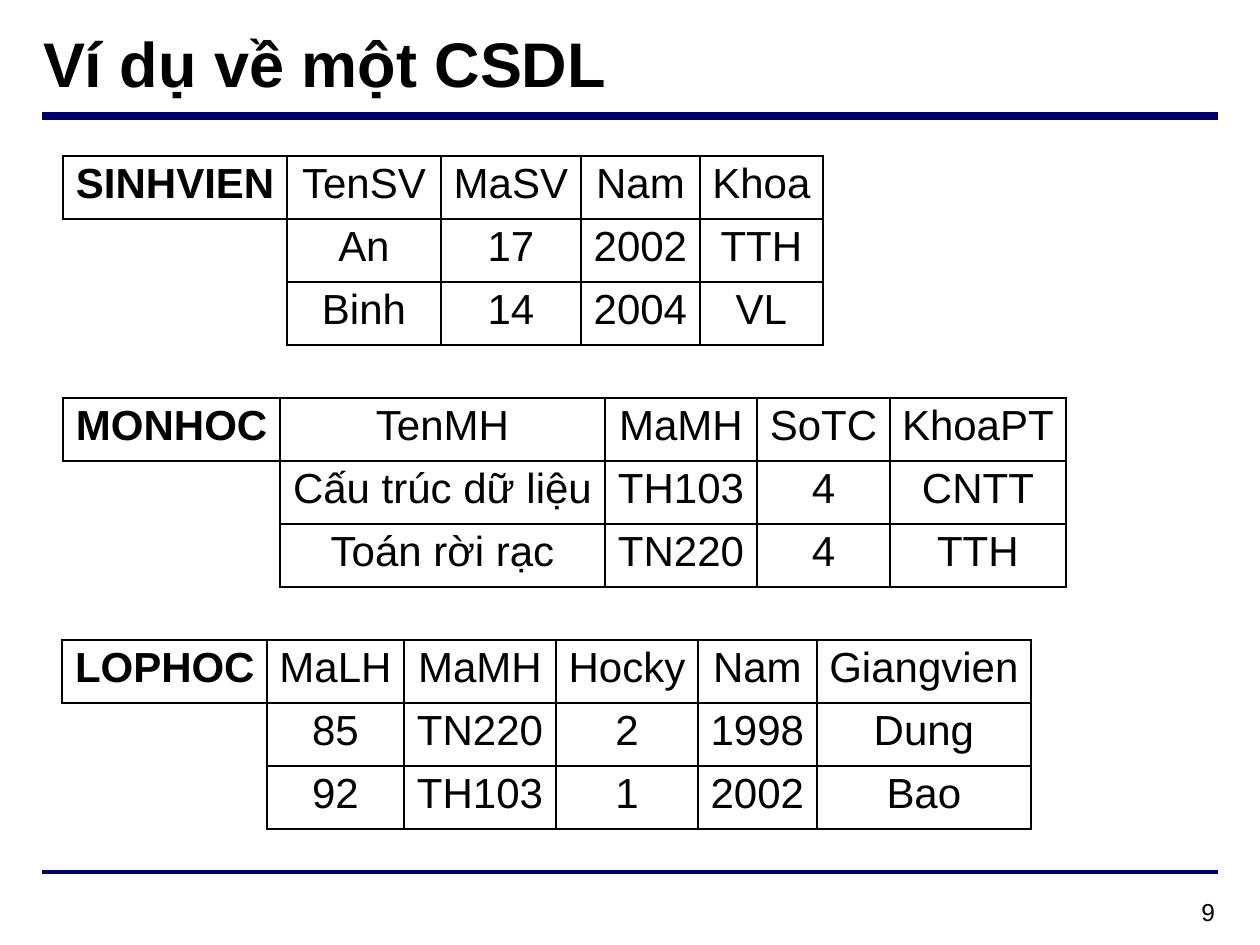
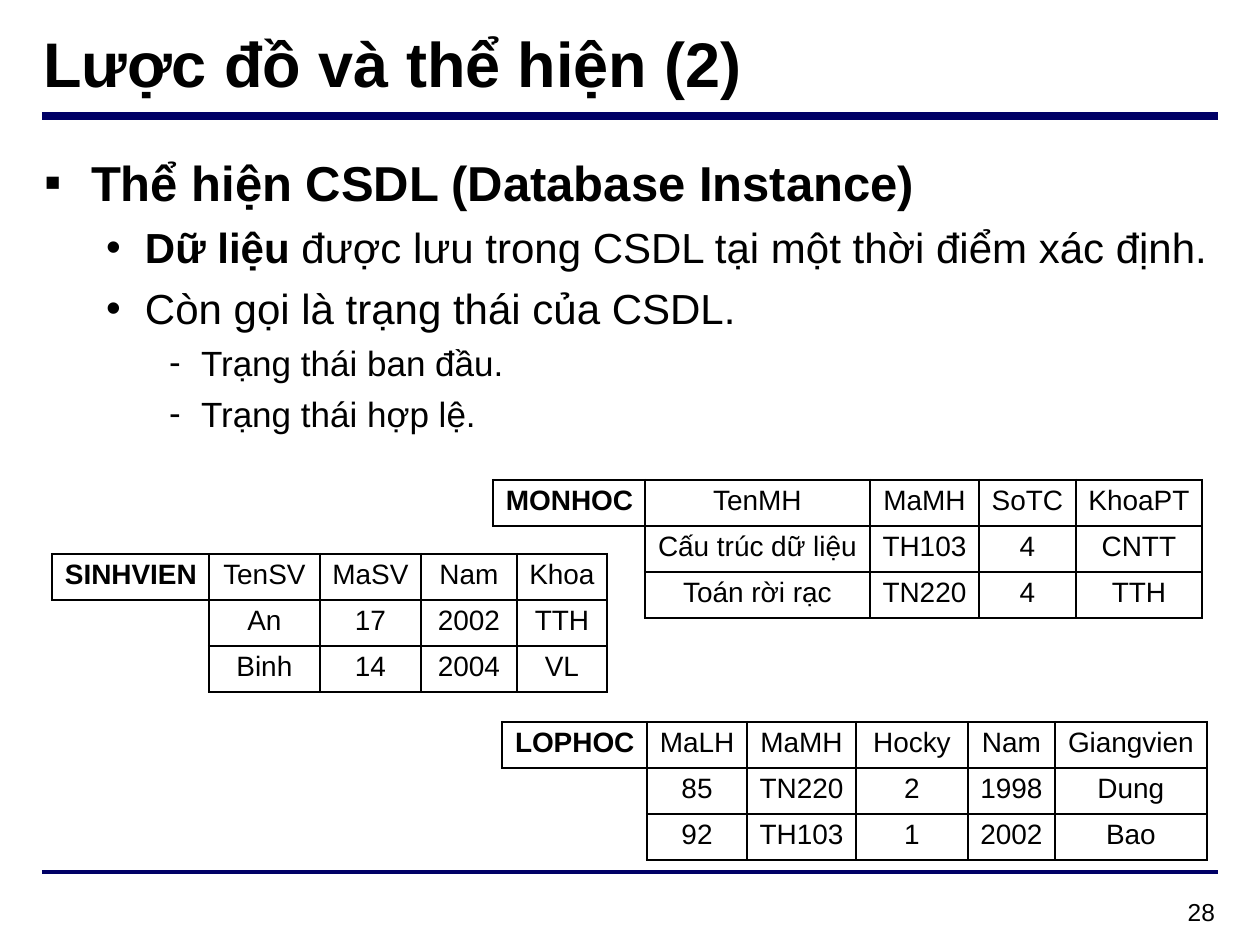
import dataclasses

import lxml.etree
import pptx
import pptx.dml.color
import pptx.enum.shapes
import pptx.enum.text
import pptx.oxml.ns
import pptx.util

Pt = pptx.util.Pt
ALIGN = pptx.enum.text.PP_ALIGN
ANCHOR = pptx.enum.text.MSO_ANCHOR
qn = pptx.oxml.ns.qn


@dataclasses.dataclass(frozen=True)
class Theme:
    face: str = "Arial"
    ink: str = "000000"
    rule: str = "000066"
    title: int = 36
    page: int = 14
    levels: tuple = (28, 24, 20)
    large: int = 24
    small: int = 16
    border: float = 1.5


THEME = Theme()

DATA = {
    "SINHVIEN": [
        ["TenSV", "MaSV", "Nam", "Khoa"],
        ["An", "17", "2002", "TTH"],
        ["Binh", "14", "2004", "VL"],
    ],
    "MONHOC": [
        ["TenMH", "MaMH", "SoTC", "KhoaPT"],
        ["Cấu trúc dữ liệu", "TH103", "4", "CNTT"],
        ["Toán rời rạc", "TN220", "4", "TTH"],
    ],
    "LOPHOC": [
        ["MaLH", "MaMH", "Hocky", "Nam", "Giangvien"],
        ["85", "TN220", "2", "1998", "Dung"],
        ["92", "TH103", "1", "2002", "Bao"],
    ],
}

# level, bold lead, plain rest, space before in points
POINTS = [
    (0, "Thể hiện CSDL (Database Instance)", "", 0),
    (1, "Dữ liệu ", "được lưu trong CSDL tại một thời điểm xác định.", 6),
    (1, "", "Còn gọi là trạng thái của CSDL.", 6),
    (2, "", "Trạng thái ban đầu.", 5),
    (2, "", "Trạng thái hợp lệ.", 5),
]
# bullet, text indent and hanging width in px, by level
BULLETS = [("▪", 49, 47), ("•", 103, 39), ("-", 159, 32)]


def px(n):
    return pptx.util.Emu(round(n * 914400 / 126))


def color(code):
    return pptx.dml.color.RGBColor.from_string(code)


def style(font, size, bold=False):
    font.name = THEME.face
    font.size = Pt(size)
    font.bold = bold
    font.color.rgb = color(THEME.ink)


def place(shape, box):
    shape.left, shape.top, shape.width, shape.height = map(px, box)


def set_frame(frame, anchor, left=0, top=0, right=0):
    frame.word_wrap = True
    frame.auto_size = pptx.enum.text.MSO_AUTO_SIZE.NONE
    frame.vertical_anchor = anchor
    frame.margin_left, frame.margin_top = px(left), px(top)
    frame.margin_right, frame.margin_bottom = px(right), 0


def add_title(slide, text, box):
    shape = slide.shapes.title
    place(shape, box)
    set_frame(shape.text_frame, ANCHOR.MIDDLE, left=1, top=7)
    para = shape.text_frame.paragraphs[0]
    para.text = text
    para.alignment = ALIGN.LEFT
    style(para.font, THEME.title, True)


def add_rule(slide, x, y, width, weight):
    line = slide.shapes.add_connector(
        pptx.enum.shapes.MSO_CONNECTOR.STRAIGHT,
        px(x), px(y), px(x + width), px(y))
    line.line.color.rgb = color(THEME.rule)
    line.line.width = Pt(weight)
    props = line._element.find(qn("p:spPr"))
    lxml.etree.SubElement(props, qn("a:effectLst"))


def add_page(slide, number, box):
    shape = slide.shapes.add_textbox(*map(px, box))
    set_frame(shape.text_frame, ANCHOR.TOP, right=7)
    para = shape.text_frame.paragraphs[0]
    para.text = str(number)
    para.alignment = ALIGN.RIGHT
    para.line_spacing = Pt(16.5)
    style(para.font, THEME.page)


def add_slide(deck, layout, title, number):
    slide = deck.slides.add_slide(deck.slide_layouts[layout])
    add_rule(slide, 42, 116, 1176, 4.5)
    add_rule(slide, 42, 872, 1176, 2.25)
    add_title(slide, title, (42, 13, 820, 91))
    add_page(slide, number, (1183, 898, 39, 32))
    return slide


def set_bullet(para, level):
    mark, indent, hang = BULLETS[level]
    para.level = level
    props = para._p.get_or_add_pPr()
    props.set("marL", str(px(indent)))
    props.set("indent", str(-px(hang)))
    font = lxml.etree.SubElement(props, qn("a:buFont"))
    font.set("typeface", THEME.face)
    lxml.etree.SubElement(props, qn("a:buChar")).set("char", mark)


def add_list(slide, box):
    shape = slide.placeholders[1]
    place(shape, box)
    frame = shape.text_frame
    set_frame(frame, ANCHOR.MIDDLE, top=14)
    for i, (level, lead, rest, gap) in enumerate(POINTS):
        para = frame.add_paragraph() if i else frame.paragraphs[0]
        para.alignment = ALIGN.LEFT
        para.space_before = Pt(gap)
        set_bullet(para, level)
        style(para.font, THEME.levels[level], not rest)
        for text, bold in ((lead, True), (rest, False)):
            if text:
                run = para.add_run()
                run.text = text
                if lead and rest:
                    run.font.bold = bold


def set_border(cell, sides):
    """Draw the named sides of a cell and clear the others."""
    props = cell._tc.get_or_add_tcPr()
    for side in "LRTB":
        line = lxml.etree.SubElement(props, qn("a:ln" + side))
        line.set("w", str(Pt(THEME.border)))
        if side in sides:
            fill = lxml.etree.SubElement(line, qn("a:solidFill"))
            lxml.etree.SubElement(fill, qn("a:srgbClr")).set("val", THEME.ink)
        else:
            lxml.etree.SubElement(line, qn("a:noFill"))


def add_relation(slide, name, x, y, widths, height, size):
    """Draw one relation: its name, its header and its rows."""
    rows = DATA[name]
    grid = slide.shapes.add_table(
        len(rows), len(widths), px(x), px(y),
        px(sum(widths)), px(height * len(rows))).table
    grid.first_row = grid.horz_banding = False
    for col, width in zip(grid.columns, widths):
        col.width = px(width)
    for r, row in enumerate(rows):
        grid.rows[r].height = px(height)
        for c, text in enumerate(["" if r else name] + row):
            cell = grid.cell(r, c)
            blank = r > 0 and c == 0
            label = r == 0 and c == 0
            set_border(cell, "RT" if blank and r == 1
                       else "R" if blank else "LRTB")
            cell.fill.background()
            cell.margin_left = px(13 if label else 0)
            cell.margin_right = cell.margin_bottom = 0
            cell.margin_top = px(5)
            para = cell.text_frame.paragraphs[0]
            para.text = text
            para.alignment = ALIGN.LEFT if label else ALIGN.CENTER
            style(para.font, size, label)
    grid.cell(1, 0).merge(grid.cell(len(rows) - 1, 0))


def add_example(deck):
    slide = add_slide(deck, 5, "Ví dụ về một CSDL", 9)
    for name, x, y, widths in (
            ("SINHVIEN", 63, 156, (224, 154, 140, 119, 123)),
            ("MONHOC", 63, 398, (217, 325, 152, 133, 176)),
            ("LOPHOC", 62, 640, (205, 137, 152, 142, 119, 214))):
        add_relation(slide, name, x, y, widths, 63, THEME.large)


def add_instance(deck):
    slide = add_slide(deck, 1, "Lược đồ và thể hiện (2)", 28)
    add_list(slide, (42, 137, 1172, 299))
    for name, x, y, widths in (
            ("SINHVIEN", 52, 554, (157, 111, 101, 96, 90)),
            ("MONHOC", 493, 480, (152, 225, 109, 97, 126)),
            ("LOPHOC", 502, 722, (145, 100, 109, 112, 87, 152))):
        add_relation(slide, name, x, y, widths, 46, THEME.small)


def main():
    deck = pptx.Presentation()
    deck.slide_width, deck.slide_height = px(1260), px(945)
    add_example(deck)
    add_instance(deck)
    deck.save("out.pptx")


if __name__ == "__main__":
    main()
